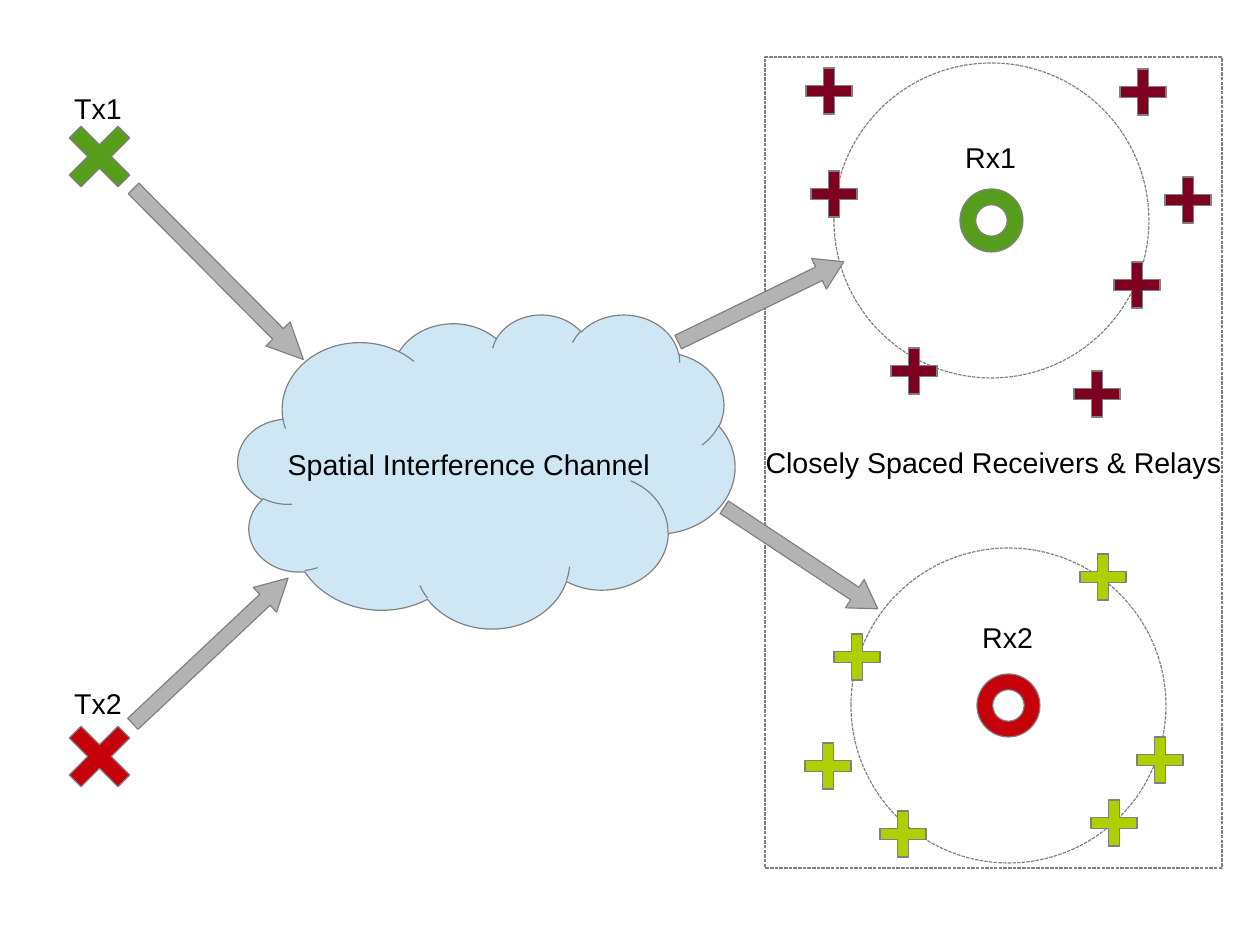
from pptx import Presentation
from pptx import util as u
from pptx.dml.color import RGBColor
from pptx.enum import dml, shapes, text

PX = 8000
SHAPE = shapes.MSO_SHAPE
GREEN, RED = "579D1C", "C5000B"
MAROON, LIME = "7E0021", "AECF00"
GREY, SILVER, SKY, BLACK = "808080", "B3B3B3", "CFE7F5", "000000"
CROSS_ARM = 0.379

TRANSMITTERS = [("Tx1", 85, 122, GREEN), ("Tx2", 680, 722, RED)]
RECEIVERS = [
    ("Rx1", 954, 134, 834, 63, GREEN),
    ("Rx2", 971, 614, 851, 548, RED),
]
RELAYS = {
    MAROON: [(806, 68), (1120, 69), (811, 171), (1165, 177),
             (1114, 262), (891, 348), (1074, 371)],
    LIME: [(1080, 554), (834, 634), (805, 743), (1137, 737),
           (1091, 800), (880, 811)],
}
ARROWS = [(104, 634, 213, 316.8), (98, 257, 241, 45.2),
          (669, 285, 184, 334.1), (709, 541, 184, 33.5)]


def px(*lengths):
    """Turn px lengths into EMU."""
    return [u.Emu(n * PX) for n in lengths]


def color(hex_code):
    """Turn a hex string into a colour."""
    return RGBColor.from_string(hex_code)


def write(tf, words):
    """Put one line of label text in a text frame."""
    tf.text = words
    font = tf.paragraphs[0].runs[0].font
    font.name, font.size = "Arial", u.Pt(18)
    font.color.rgb = color(BLACK)


def add_figure(s, kind, box, fill=None, adj=(), rotation=0):
    """Add a preset shape with a grey hairline; without a fill it is dashed."""
    sp = s.shapes.add_shape(kind, *px(*box))
    sp.shadow.inherit = False
    sp.rotation = rotation
    for i, value in enumerate(adj):
        sp.adjustments[i] = value
    sp.line.color.rgb = color(GREY)
    sp.line.width = 0
    if fill:
        sp.fill.solid()
        sp.fill.fore_color.rgb = color(fill)
    else:
        sp.fill.background()
        sp.line.dash_style = dml.MSO_LINE.SQUARE_DOT
    return sp


def add_caption(sp, words):
    """Centre a caption inside a shape."""
    tf = sp.text_frame
    tf.word_wrap = False
    tf.vertical_anchor = text.MSO_ANCHOR.MIDDLE
    write(tf, words)
    tf.paragraphs[0].alignment = text.PP_ALIGN.CENTER


def add_label(s, words, left, top):
    """Add a short free-standing label."""
    tf = s.shapes.add_textbox(*px(left, top, 80, 43)).text_frame
    tf.word_wrap = True
    tf.auto_size = text.MSO_AUTO_SIZE.SHAPE_TO_FIT_TEXT
    write(tf, words)


def add_transmitter(s, name, label_top, top, fill):
    """Add a diagonal cross with its label."""
    add_figure(s, SHAPE.CROSS, (65, top, 69, 69), fill, [CROSS_ARM], 45)
    add_label(s, name, 63, label_top)


def add_receiver(s, name, label_left, label_top, left, top, fill):
    """Add a ring centred in its dashed range circle, with a label."""
    circle, ring = 315, 63
    inset = (circle - ring) // 2
    add_figure(s, SHAPE.OVAL, (left, top, circle, circle))
    add_figure(s, SHAPE.DONUT, (left + inset, top + inset, ring, ring),
               fill, [0.25])
    add_label(s, name, label_left, label_top)


def add_arrow(s, left, top, length, angle):
    """Add a block arrow whose head grows with its length."""
    add_figure(s, SHAPE.RIGHT_ARROW, (left, top, length, 34), SILVER,
               [0.444, length / 228], angle)


def main():
    """Build the slide and save it."""
    prs = Presentation()
    prs.slide_width, prs.slide_height = px(1260, 945)
    s = prs.slides.add_slide(prs.slide_layouts[6])

    area = add_figure(s, SHAPE.RECTANGLE, (765, 57, 457, 811))
    add_caption(area, "Closely Spaced Receivers & Relays")
    for receiver in RECEIVERS:
        add_receiver(s, *receiver)
    for fill, places in RELAYS.items():
        for left, top in places:
            add_figure(s, SHAPE.CROSS, (left, top, 46, 46), fill, [CROSS_ARM])
    for transmitter in TRANSMITTERS:
        add_transmitter(s, *transmitter)

    cloud = add_figure(s, SHAPE.CLOUD, (238, 314, 497, 314), SKY)
    add_caption(cloud, "Spatial Interference Channel")
    for arrow in ARROWS:
        add_arrow(s, *arrow)

    prs.save("out.pptx")


if __name__ == "__main__":
    main()
